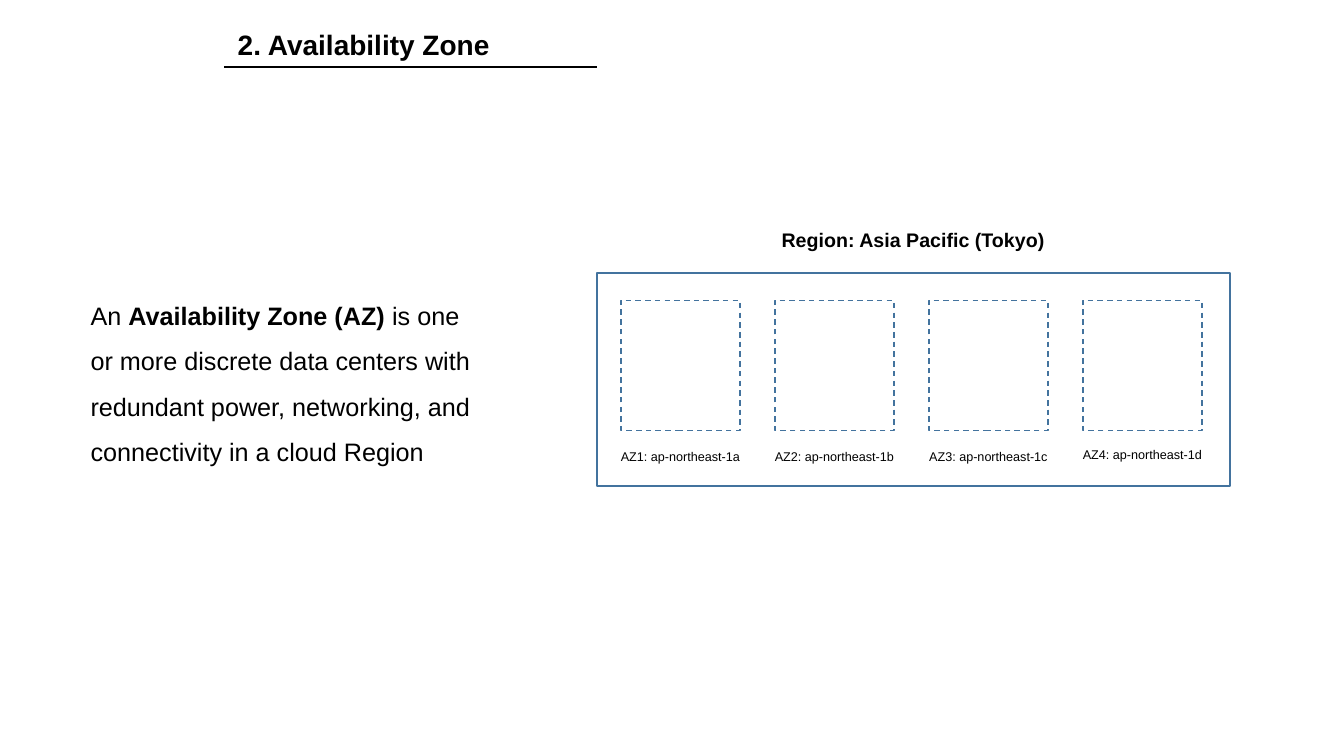
from lxml import etree
from pptx import Presentation
from pptx.dml.color import RGBColor
from pptx.enum.dml import MSO_LINE
from pptx.enum.shapes import MSO_CONNECTOR, MSO_SHAPE
from pptx.enum.text import MSO_AUTO_SIZE, PP_ALIGN
from pptx.oxml.ns import qn
from pptx.util import Pt

BLACK = RGBColor(0x00, 0x00, 0x00)
BLUE = RGBColor(0x43, 0x73, 0x9E)
RECTANGLE = MSO_SHAPE.RECTANGLE
STRAIGHT = MSO_CONNECTOR.STRAIGHT
DASH = MSO_LINE.DASH
FIT_TEXT = MSO_AUTO_SIZE.SHAPE_TO_FIT_TEXT
LEFT, CENTER, JUSTIFY = PP_ALIGN.LEFT, PP_ALIGN.CENTER, PP_ALIGN.JUSTIFY

ZONE_LEFT = 443.5
ZONE_PITCH = 110
ZONE_WIDTH = 85
LABEL_WIDTH = 100
ZONES = [
    ("AZ1: ap-northeast-1a", 316.8),
    ("AZ2: ap-northeast-1b", 316.8),
    ("AZ3: ap-northeast-1c", 316.8),
    ("AZ4: ap-northeast-1d", 315.4),
]


def set_attributes(target, values):
    for name, value in values.items():
        setattr(target, name, value)


def add_text(slide, box, runs, size, align, wrap=True, line_spacing=None):
    frame = slide.shapes.add_textbox(*map(Pt, box)).text_frame
    set_attributes(frame, {"word_wrap": wrap, "auto_size": FIT_TEXT})
    paragraph = frame.paragraphs[0]
    set_attributes(paragraph, {"alignment": align, "line_spacing": line_spacing})
    for text, bold in runs:
        run = paragraph.add_run()
        run.text = text
        set_attributes(run.font, {"name": "Arial", "size": Pt(size), "bold": bold})
        run.font.color.rgb = BLACK
    return paragraph


def add_outline(slide, box, width, dash=None):
    outline = slide.shapes.add_shape(RECTANGLE, *map(Pt, box))
    outline.shadow.inherit = False
    outline.fill.background()
    outline.line.color.rgb = BLUE
    set_attributes(outline.line, {"width": Pt(width), "dash_style": dash})


def add_rule(slide, start, end):
    rule = slide.shapes.add_connector(STRAIGHT, *map(Pt, start + end))
    rule.line.color.rgb = BLACK
    rule.line.width = Pt(1.5)
    etree.SubElement(rule._element.spPr, qn("a:effectLst"))


def add_zone(slide, index, label, label_top):
    left = ZONE_LEFT + index * ZONE_PITCH
    label_left = left + (ZONE_WIDTH - LABEL_WIDTH) / 2
    add_outline(slide, (left, 214.5, ZONE_WIDTH, 93), 1, DASH)
    add_text(slide, (label_left, label_top, LABEL_WIDTH, 18), [(label, False)],
             9, CENTER, wrap=False)


def main():
    deck = Presentation()
    set_attributes(deck, {"slide_width": Pt(960), "slide_height": Pt(540)})
    slide = deck.slides.add_slide(deck.slide_layouts[6])

    title = add_text(slide, (126.7, 15.8, 598.3, 31.5),
                     [("2. Availability Zone", True)], 20, JUSTIFY)
    title_format = title._p.get_or_add_pPr()
    title_format.set("marL", str(Pt(36)))
    title_format.set("indent", "0")
    add_rule(slide, (426.2, 47.7), (160, 47.7))

    add_text(slide, (57.6, 200.2, 296.6, 138.2),
             [("An ", False), ("Availability Zone (AZ) ", True),
              ("is one or more discrete data centers with redundant power, "
               "networking, and connectivity in a cloud Region", False)],
             18, LEFT, line_spacing=1.5)

    add_text(slide, (426.2, 159.1, 452.2, 24.2),
             [("Region: Asia Pacific (Tokyo)", True)], 14, CENTER)
    add_outline(slide, (426.2, 195.1, 452.2, 152.2), 1.5)
    for index, (label, label_top) in enumerate(ZONES):
        add_zone(slide, index, label, label_top)

    deck.save("out.pptx")


if __name__ == "__main__":
    main()
